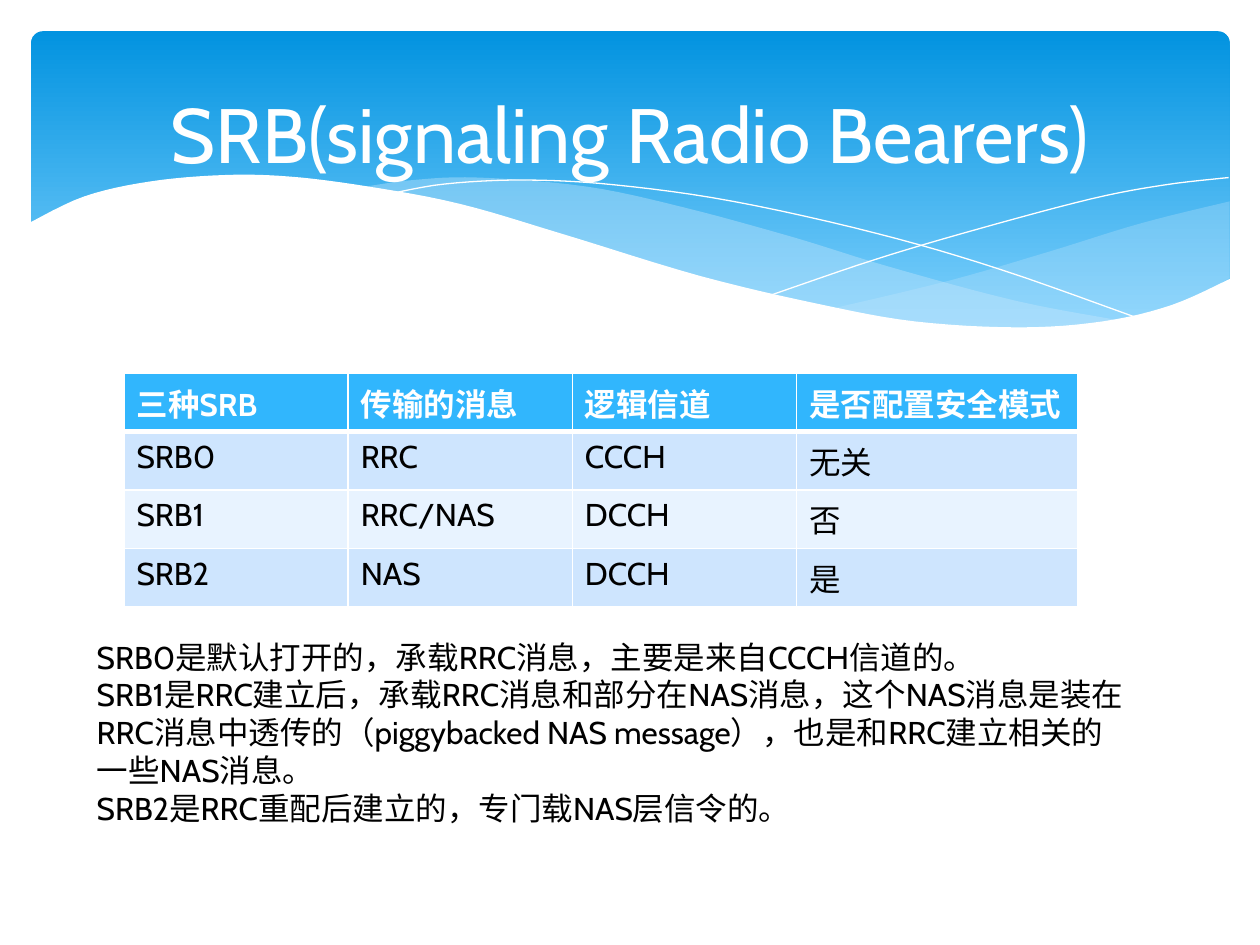
from dataclasses import dataclass

from lxml import etree
from pptx import Presentation
from pptx.dml.color import RGBColor
from pptx.enum.shapes import MSO_SHAPE
from pptx.enum.text import MSO_ANCHOR, PP_ALIGN
from pptx.oxml.ns import qn
from pptx.util import Cm, Pt

ROUNDED = MSO_SHAPE.ROUNDED_RECTANGLE
MIDDLE = MSO_ANCHOR.MIDDLE
CENTER = PP_ALIGN.CENTER
TITLE_ONLY = 5


@dataclass(frozen=True)
class Theme:
    font: str = "Cabin"
    title_size: int = 44
    text_size: int = 18
    white: str = "FFFFFF"
    black: str = "000000"
    sky_top: str = "0293E0"
    sky_bottom: str = "83D3FE"
    mist: str = "C6E7FC"
    header: str = "31B6FD"
    bands: tuple = ("CEE5FE", "E8F3FF")
    grid_line: float = 1
    header_line: float = 3


THEME = Theme()

# Wave outlines: each edge is a smooth curve through its points, in cm
RIGHT_MIST = [
    [(24.79, 4.06), (23.01, 4.5), (21.13, 5.08), (19.13, 5.66), (16.79, 6.22)],
    [(16.79, 6.22), (18.26, 6.48), (20.4, 6.65), (22.38, 6.5), (23.75, 6.12),
     (24.79, 5.61)],
]
LEFT_MIST = [
    [(22.68, 6.48), (20.5, 6.07), (17.93, 5.38), (15.98, 4.78), (13.74, 4.17),
     (11.81, 3.76), (9.65, 3.58), (8.33, 3.63), (7.26, 3.78)],
    [(7.26, 3.78), (9.19, 4.17), (11.4, 4.78), (13.46, 5.41), (15.7, 6.02),
     (17.65, 6.4), (19.63, 6.65), (21.29, 6.65), (22.68, 6.48)],
]
FALLING_LINE = [
    [(7.85, 3.91), (8.97, 3.71), (10.57, 3.63), (12.42, 3.73), (14.78, 4.06),
     (17.65, 4.7), (20.19, 5.44), (23.04, 6.45)],
]
RISING_LINE = [
    [(15.57, 5.94), (17.65, 5.23), (19.71, 4.62), (22, 4.01), (23.47, 3.73),
     (24.77, 3.58)],
]
WHITE_WAVE = [
    [(24.82, 5.61), (23.62, 6.15), (22.23, 6.48), (20.55, 6.6), (18.44, 6.48),
     (16.46, 6.12), (14.1, 5.56), (11.35, 4.72), (9.27, 4.11), (7.42, 3.76),
     (5.84, 3.56), (4.5, 3.53), (3.02, 3.66), (1.7, 3.96), (0.58, 4.5)],
    [(0.58, 8.36), (24.82, 8.36)],
]

BEARERS = [
    ["三种SRB", "传输的消息", "逻辑信道", "是否配置安全模式"],
    ["SRB0", "RRC", "CCCH", "无关"],
    ["SRB1", "RRC/NAS", "DCCH", "否"],
    ["SRB2", "NAS", "DCCH", "是"],
]
COLUMN_WIDTHS = [4.52, 4.52, 4.52, 5.66]
ROW_HEIGHT = 1.03

NOTES = [
    "SRB0是默认打开的，承载RRC消息，主要是来自CCCH信道的。",
    "SRB1是RRC建立后，承载RRC消息和部分在NAS消息，这个NAS消息是装在RRC消息中透传的"
    "（piggybacked NAS message），也是和RRC建立相关的一些NAS消息。",
    "SRB2是RRC重配后建立的，专门载NAS层信令的。",
]


def rgb(value):
    return RGBColor.from_string(value)


def style_font(paragraph, color, size=THEME.text_size, bold=False):
    font = paragraph.font
    font.name, font.size, font.bold = THEME.font, Pt(size), bold
    font.color.rgb = rgb(color)


def smooth(points, steps=6):
    """Catmull-Rom curve through the points."""
    padded = [points[0], *points, points[-1]]
    curve = [points[0]]
    for a, b, c, d in zip(padded, padded[1:], padded[2:], padded[3:]):
        for step in range(1, steps + 1):
            t = step / steps
            curve.append(tuple(
                0.5 * (2 * q + (r - p) * t + (2 * p - 5 * q + 4 * r - s) * t**2
                       + (3 * q - p - 3 * r + s) * t**3)
                for p, q, r, s in zip(a, b, c, d)))
    return curve


def add_outline(slide, edges, closed):
    points = [(Cm(x), Cm(y)) for edge in edges for x, y in smooth(edge)]
    builder = slide.shapes.build_freeform(*points[0])
    builder.add_line_segments(points[1:], close=closed)
    outline = builder.convert_to_shape()
    outline.shadow.inherit = False
    return outline


def add_wave(slide, edges, color, opacity=100):
    wave = add_outline(slide, edges, closed=True)
    wave.line.fill.background()
    wave.fill.solid()
    wave.fill.fore_color.rgb = rgb(color)
    if opacity < 100:
        tint = wave.element.spPr.find(qn("a:solidFill"))[0]
        etree.SubElement(tint, qn("a:alpha"), val=str(opacity * 1000))


def add_wave_line(slide, edges):
    wave_line = add_outline(slide, edges, closed=False)
    wave_line.fill.background()
    wave_line.line.color.rgb = rgb(THEME.white)
    wave_line.line.width = Pt(0)


def add_sky(slide):
    sky = slide.shapes.add_shape(ROUNDED, Cm(0.63), Cm(0.63), Cm(24.16), Cm(6.86))
    sky.adjustments[0] = 0.034
    sky.shadow.inherit = False
    sky.line.fill.background()
    sky.fill.gradient()
    sky.fill.gradient_angle = 270
    stops = ((0, THEME.sky_top), (0.9, THEME.sky_bottom))
    for stop, (position, color) in zip(sky.fill.gradient_stops, stops):
        stop.position = position
        stop.color.rgb = rgb(color)


def set_title(slide, text):
    title = slide.shapes.title
    title.left, title.top, title.width, title.height = Cm(1.27), Cm(0.94), Cm(22.86), Cm(3.48)
    title.text_frame.text = text
    title.text_frame.vertical_anchor = MIDDLE
    heading = title.text_frame.paragraphs[0]
    heading.alignment = CENTER
    style_font(heading, THEME.white, THEME.title_size)
    # Bring the title in front of the backdrop
    title.element.getparent().append(title.element)


def set_borders(cell, top, bottom):
    properties = cell._tc.get_or_add_tcPr()
    widths = {"L": THEME.grid_line, "R": THEME.grid_line, "T": top, "B": bottom}
    for side, width in widths.items():
        border = etree.SubElement(properties, qn(f"a:ln{side}"), w=str(Pt(width)))
        fill = etree.SubElement(border, qn("a:solidFill"))
        etree.SubElement(fill, qn("a:srgbClr"), val=THEME.white)


def add_bearer_table(slide):
    table = slide.shapes.add_table(
        len(BEARERS), len(COLUMN_WIDTHS), Cm(2.5), Cm(7.53),
        Cm(sum(COLUMN_WIDTHS)), Cm(ROW_HEIGHT * len(BEARERS))).table
    table.horz_banding = False
    for column, width in zip(table.columns, COLUMN_WIDTHS):
        column.width = Cm(width)
    for index, values in enumerate(BEARERS):
        is_header = index == 0
        table.rows[index].height = Cm(ROW_HEIGHT)
        top = THEME.header_line if index == 1 else THEME.grid_line
        bottom = THEME.header_line if is_header else THEME.grid_line
        for cell, value in zip(table.rows[index].cells, values):
            set_borders(cell, top, bottom)
            cell.fill.solid()
            cell.fill.fore_color.rgb = rgb(
                THEME.header if is_header else THEME.bands[(index - 1) % 2])
            cell.text = value
            style_font(cell.text_frame.paragraphs[0],
                       THEME.white if is_header else THEME.black, bold=is_header)


def add_notes_text(slide):
    frame = slide.shapes.add_textbox(Cm(1.7), Cm(12.73), Cm(21.41), Cm(4.11)).text_frame
    frame.word_wrap = True
    frame.text = "\n".join(NOTES)
    for paragraph in frame.paragraphs:
        style_font(paragraph, THEME.black)


def main():
    deck = Presentation()
    deck.slide_width, deck.slide_height = Cm(25.4), Cm(19.05)
    slide = deck.slides.add_slide(deck.slide_layouts[TITLE_ONLY])

    # Backdrop
    add_sky(slide)
    add_wave(slide, RIGHT_MIST, THEME.mist, opacity=29)
    add_wave(slide, LEFT_MIST, THEME.mist, opacity=40)
    add_wave_line(slide, FALLING_LINE)
    add_wave_line(slide, RISING_LINE)
    add_wave(slide, WHITE_WAVE, THEME.white)

    # Content
    set_title(slide, "SRB(signaling Radio Bearers)")
    add_bearer_table(slide)
    add_notes_text(slide)
    deck.save("out.pptx")


if __name__ == "__main__":
    main()
